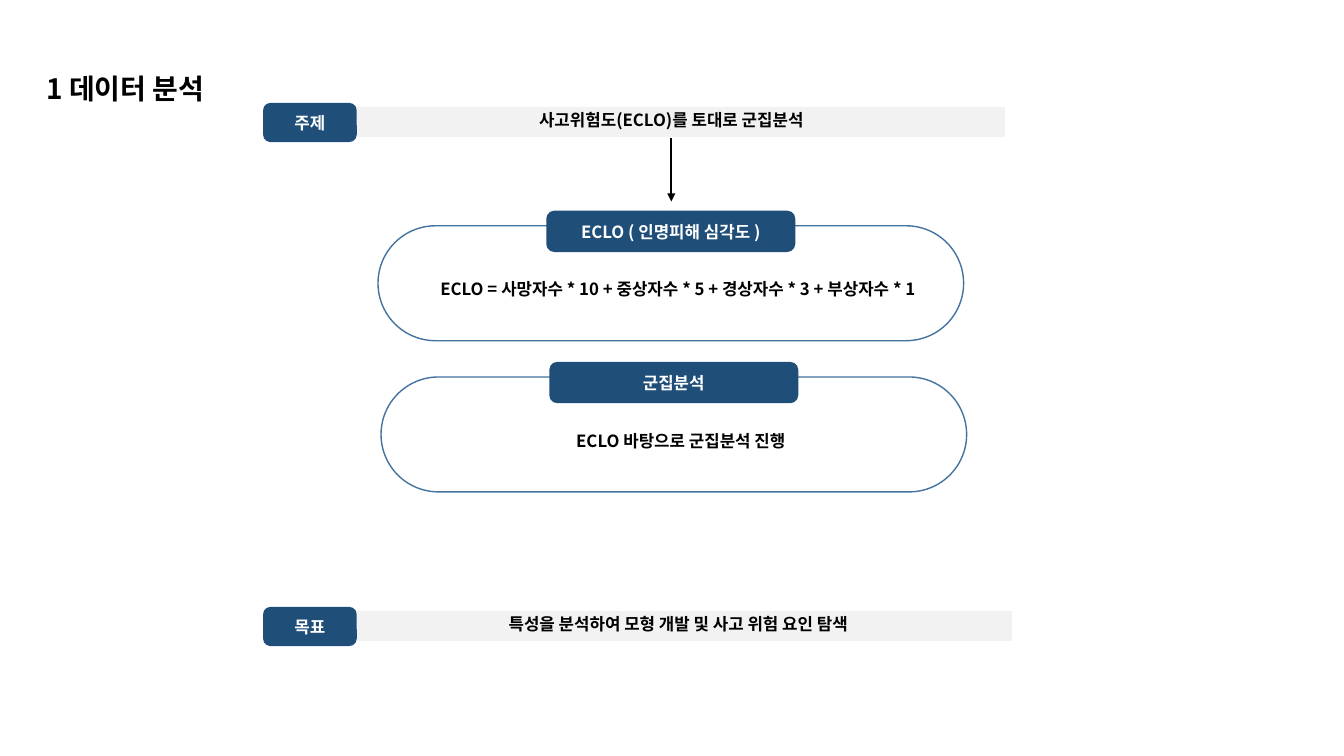
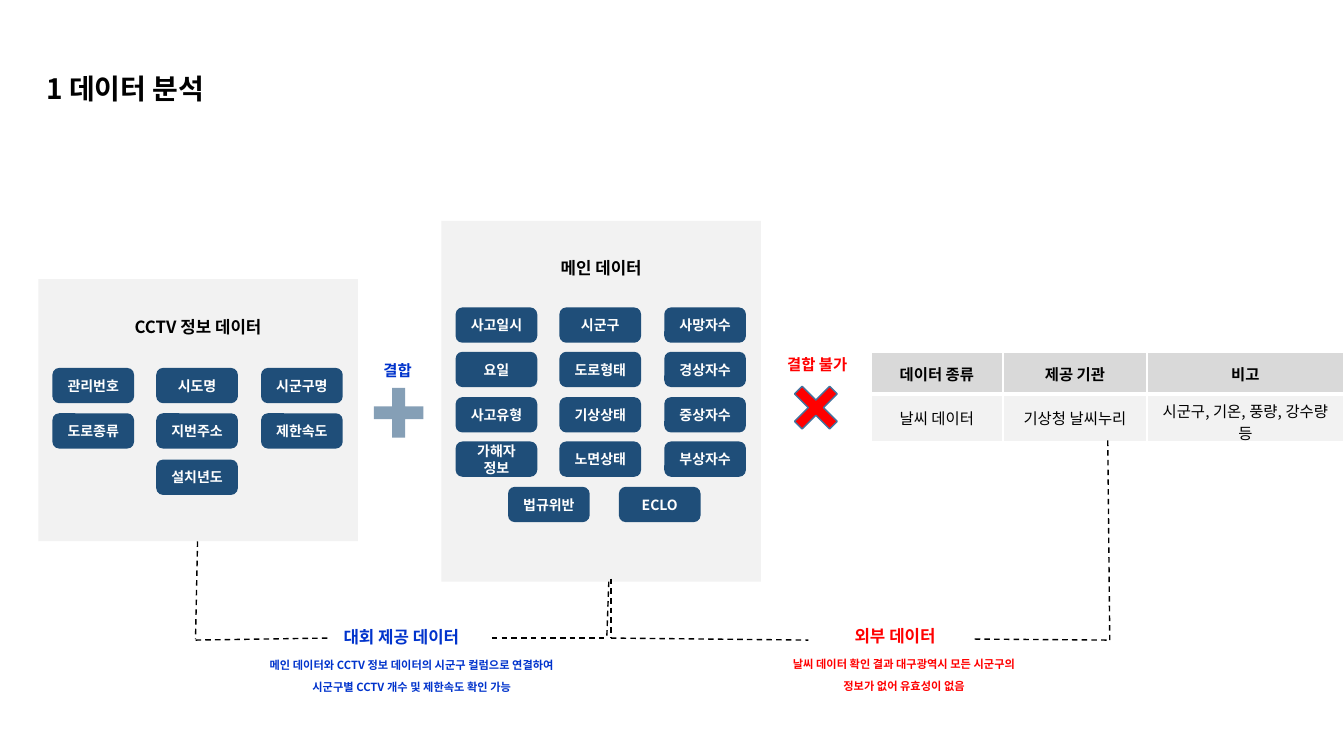
from dataclasses import dataclass

from lxml import etree
from pptx import Presentation
from pptx import util as u
from pptx.dml.color import RGBColor
from pptx.enum import dml, shapes, text
from pptx.oxml import ns

PX = 9144  # one px is a hundredth of an inch


@dataclass(frozen=True)
class Theme:
    font: str = "Noto Sans CJK KR"
    black: str = "000000"
    white: str = "FFFFFF"
    navy: str = "1F4E79"
    outline: str = "43739E"
    panel: str = "F2F2F2"
    header: str = "D9D9D9"
    blue: str = "0033CC"
    red: str = "FF0000"
    title: int = 20
    body: int = 12
    label: int = 11
    pill: int = 10
    note: int = 8


THEME = Theme()
KIND = shapes.MSO_SHAPE
CENTER, LEFT = text.PP_ALIGN.CENTER, text.PP_ALIGN.LEFT
TOP, MIDDLE = text.MSO_ANCHOR.TOP, text.MSO_ANCHOR.MIDDLE
HEADING = {"line_spacing": 0.9, "space_before": u.Pt(10)}
NOTE = {"space_before": u.Pt(6)}


# Helpers
def px(value):
    return u.Emu(value * PX)


def apply_format(target, values):
    for name, value in values.items():
        setattr(target, name, value)


def add_xml(parent, tag, **attributes):
    return etree.SubElement(parent, ns.qn(tag), attributes)


def spread(first, last, count):
    """Whole positions at equal steps from first to last."""
    return [first + (last - first) * i // max(count - 1, 1) for i in range(count)]


def write(frame, lines, size, color, bold=True, align=CENTER, anchor=TOP,
          spacing=None, margin_top=5):
    apply_format(frame, {"word_wrap": True, "vertical_anchor": anchor,
                         "margin_left": px(10), "margin_right": px(10),
                         "margin_top": px(margin_top), "margin_bottom": px(5)})
    for index, line in enumerate(lines.split("\n")):
        paragraph = frame.paragraphs[0] if index == 0 else frame.add_paragraph()
        apply_format(paragraph, {"alignment": align, **(spacing or {})})
        run = paragraph.add_run()
        run.text = line
        apply_format(run.font, {"size": u.Pt(size), "bold": bold, "name": THEME.font})
        run.font.color.rgb = RGBColor.from_string(color)
        add_xml(run.font._element, "a:ea", typeface=THEME.font)


def add_box(slide, kind, at, fill=None, line=None, adjust=None):
    shape = slide.shapes.add_shape(kind, *map(px, at))
    shape.shadow.inherit = False
    if adjust is not None:
        shape.adjustments[0] = adjust
    if fill:
        shape.fill.solid()
        shape.fill.fore_color.rgb = RGBColor.from_string(fill)
    else:
        shape.fill.background()
    if line:
        shape.line.color.rgb = RGBColor.from_string(line)
        shape.line.width = u.Pt(1)
    else:
        shape.line.fill.background()
    return shape


def add_text(slide, at, lines, size, color, **style):
    box = slide.shapes.add_textbox(*map(px, at))
    write(box.text_frame, lines, size, color, **style)


def add_line(slide, start, end, width=1, dashed=True, arrow=False):
    line = slide.shapes.add_connector(
        shapes.MSO_CONNECTOR.STRAIGHT, *map(px, (*start, *end)))
    line.line.color.rgb = RGBColor.from_string(THEME.black)
    line.line.width = u.Pt(width)
    if dashed:
        line.line.dash_style = dml.MSO_LINE.DASH
    if arrow:
        add_xml(line.line._get_or_add_ln(), "a:tailEnd", type="triangle")
    add_xml(line._element.spPr, "a:effectLst")


# Elements of these slides
def add_title(slide):
    add_text(slide, (36, 70, 200, 44), "1 데이터 분석", THEME.title, THEME.black,
             align=LEFT, spacing=HEADING)


def add_pill(slide, at, label, size):
    pill = add_box(slide, KIND.ROUNDED_RECTANGLE, at, THEME.navy, adjust=0.193)
    write(pill.text_frame, label, size, THEME.white, anchor=MIDDLE)


def add_banner(slide, left, top, label, statement):
    bar = add_box(slide, KIND.RECTANGLE, (left, top, 662, 30), THEME.panel)
    write(bar.text_frame, statement, THEME.body, THEME.black, spacing=HEADING)
    add_pill(slide, (261, top - 4, 93, 39), label, THEME.body)


def add_capsule(slide, left, top, heading, statement):
    add_box(slide, KIND.ROUNDED_RECTANGLE, (left, top, 581, 114),
            line=THEME.outline, adjust=0.5)
    add_pill(slide, (left + 167, top - 15, 247, 41), heading, THEME.body)
    body = add_box(slide, KIND.ROUNDED_RECTANGLE, (left + 14, top + 34, 567, 58),
                   adjust=0.5)
    write(body.text_frame, statement, THEME.body, THEME.black, anchor=MIDDLE)


def add_data_panel(slide, at, heading, rows, last_row):
    """Panel with rows of pills; each row is (first x, last x, labels)."""
    left, top = at[:2]
    panel = add_box(slide, KIND.RECTANGLE, at, THEME.panel)
    write(panel.text_frame, heading, THEME.body, THEME.black, spacing=HEADING,
          margin_top=39)
    tops = spread(top + 86 + 2 * (len(rows) == 3), last_row, len(rows))
    for y, (first, last, labels) in zip(tops, rows):
        for x, label in zip(spread(left + first, left + last, len(labels)), labels):
            add_pill(slide, (x, y, 81, 35), label, THEME.pill)


def set_borders(cell, **widths):
    properties = cell._tc.get_or_add_tcPr()
    for side in "LRTB":
        width = u.Pt(widths.get(side, 1))
        border = add_xml(properties, f"a:ln{side}", w=str(width))
        add_xml(add_xml(border, "a:solidFill"), "a:srgbClr", val=THEME.white)


def add_source_table(slide, at, widths, rows):
    table = slide.shapes.add_table(len(rows), len(widths), *map(px, at)).table
    table.horz_banding = False
    for column, width in zip(table.columns, widths):
        column.width = px(width)
    for r, values in enumerate(rows):
        header = r == 0
        for c, value in enumerate(values):
            cell = table.cell(r, c)
            set_borders(cell, **({"B": 3} if header else {"T": 3}))
            cell.fill.solid()
            cell.fill.fore_color.rgb = RGBColor.from_string(
                THEME.header if header else THEME.panel)
            cell.vertical_anchor = MIDDLE
            write(cell.text_frame, value, THEME.label, THEME.black, bold=header)
            cell.vertical_anchor = MIDDLE


def add_note(slide, at, lines, color):
    add_text(slide, at, lines, THEME.note, color, spacing=NOTE, margin_top=4)


# Slides
def build_topic_slide(slide):
    add_title(slide)
    add_banner(slide, 335, 106, "주제", "사고위험도(ECLO)를 토대로 군집분석")
    add_line(slide, (666, 137), (666, 200), width=1.5, dashed=False, arrow=True)
    add_capsule(slide, 375, 224, "ECLO ( 인명피해 심각도 )",
                "ECLO = 사망자수 * 10 + 중상자수 * 5 + 경상자수 * 3 + 부상자수 * 1")
    add_capsule(slide, 378, 374, "군집분석", "ECLO 바탕으로 군집분석 진행")
    add_banner(slide, 342, 606, "목표",
               "특성을 분석하여 모형 개발 및 사고 위험 요인 탐색")


def build_data_slide(slide):
    add_title(slide)

    # Data sets
    add_data_panel(slide, (38, 277, 317, 260), "CCTV 정보 데이터", [
        (14, 221, ["관리번호", "시도명", "시군구명"]),
        (14, 221, ["도로종류", "지번주소", "제한속도"]),
        (117, 117, ["설치년도"]),
    ], last_row=456)
    add_data_panel(slide, (438, 219, 317, 358), "메인 데이터", [
        (14, 221, ["사고일시", "시군구", "사망자수"]),
        (14, 221, ["요일", "도로형태", "경상자수"]),
        (14, 221, ["사고유형", "기상상태", "중상자수"]),
        (14, 221, ["가해자 정보", "노면상태", "부상자수"]),
        (66, 176, ["법규위반", "ECLO"]),
    ], last_row=483)
    add_source_table(slide, (864, 350, 469, 82), (131, 143, 195), [
        ("데이터 종류", "제공 기관", "비고"),
        ("날씨 데이터", "기상청 날씨누리", "시군구, 기온, 풍량, 강수량 등"),
    ])

    # Join signs
    plus = add_box(slide, KIND.MATH_PLUS, (362, 376, 67, 67), THEME.navy, adjust=0.19)
    color = plus._element.spPr.find(".//" + ns.qn("a:srgbClr"))
    add_xml(color, "a:alpha", val="54000")
    add_text(slide, (350, 355, 89, 27), "결합", THEME.label, THEME.blue,
             spacing=HEADING)
    add_box(slide, KIND.MATH_MULTIPLY, (776, 371, 67, 67), THEME.red,
            THEME.outline, adjust=0.159)
    add_text(slide, (771, 349, 89, 27), "결합 불가", THEME.label, THEME.red,
             align=LEFT, spacing=HEADING)

    # Dashed brackets
    for start, end in [
        ((196, 537), (194, 634)), ((194, 635), (325, 633)),
        ((488, 633), (602, 633)), ((604, 577), (602, 633)),
        ((606, 574), (606, 633)), ((606, 633), (802, 635)),
        ((967, 634), (1099, 635)), ((1099, 437), (1101, 635)),
    ]:
        add_line(slide, start, end)

    # Captions
    add_text(slide, (331, 619, 154, 21), "대회 제공 데이터", THEME.body, THEME.blue,
             align=LEFT, spacing=HEADING)
    add_note(slide, (229, 649, 359, 41),
             "메인 데이터와 CCTV 정보 데이터의 시군구 컬럼으로 연결하여\n"
             "시군구별 CCTV 개수 및 제한속도 확인 가능", THEME.blue)
    add_text(slide, (838, 618, 117, 33), "외부 데이터", THEME.body, THEME.red,
             align=LEFT, spacing=HEADING)
    add_note(slide, (761, 648, 272, 41),
             "날씨 데이터 확인 결과 대구광역시 모든 시군구의\n"
             "정보가 없어 유효성이 없음", THEME.red)


def main():
    presentation = Presentation()
    apply_format(presentation, {"slide_width": u.Emu(12192000),
                                "slide_height": px(750)})
    for build in (build_topic_slide, build_data_slide):
        build(presentation.slides.add_slide(presentation.slide_layouts[6]))
    presentation.save("out.pptx")


if __name__ == "__main__":
    main()
